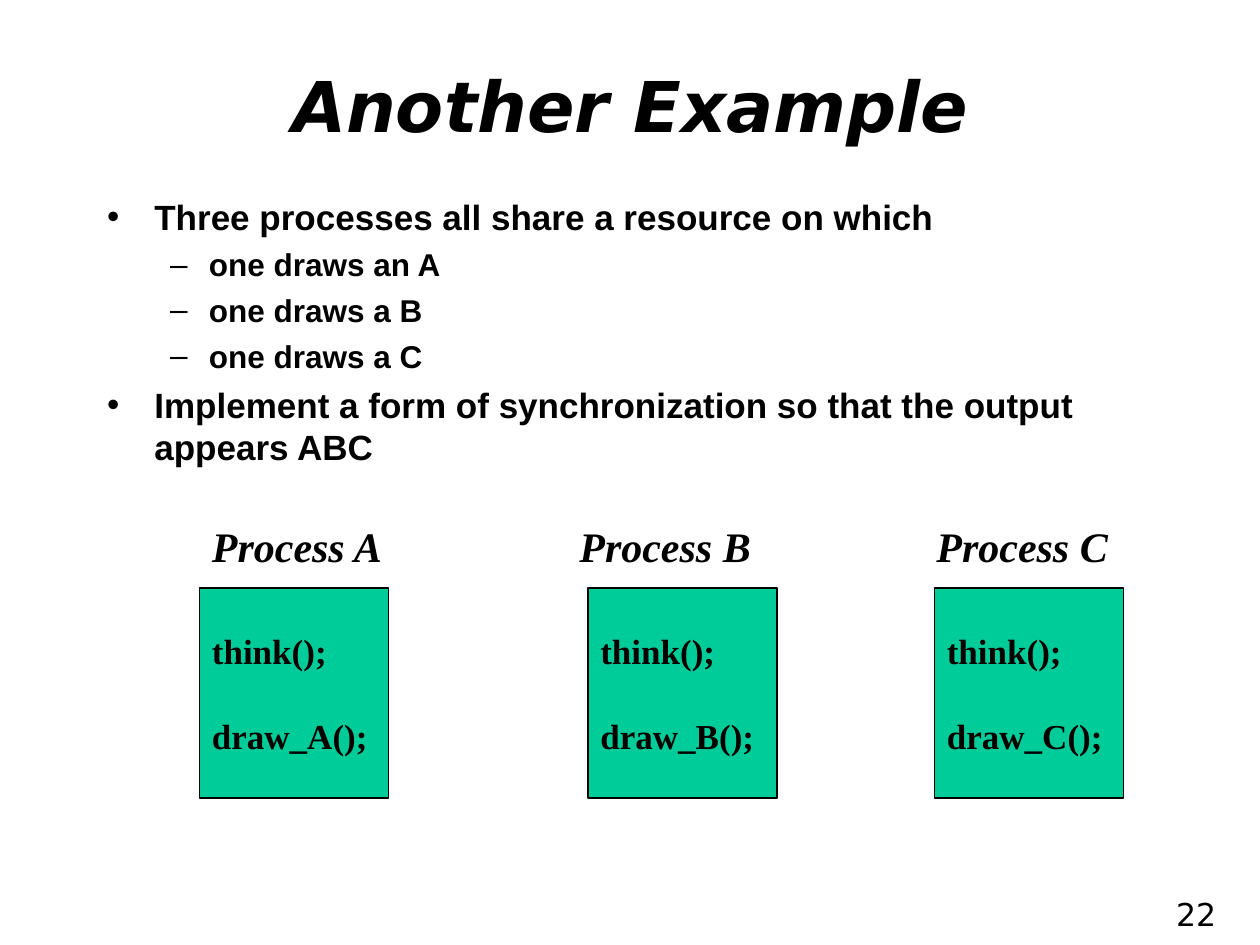
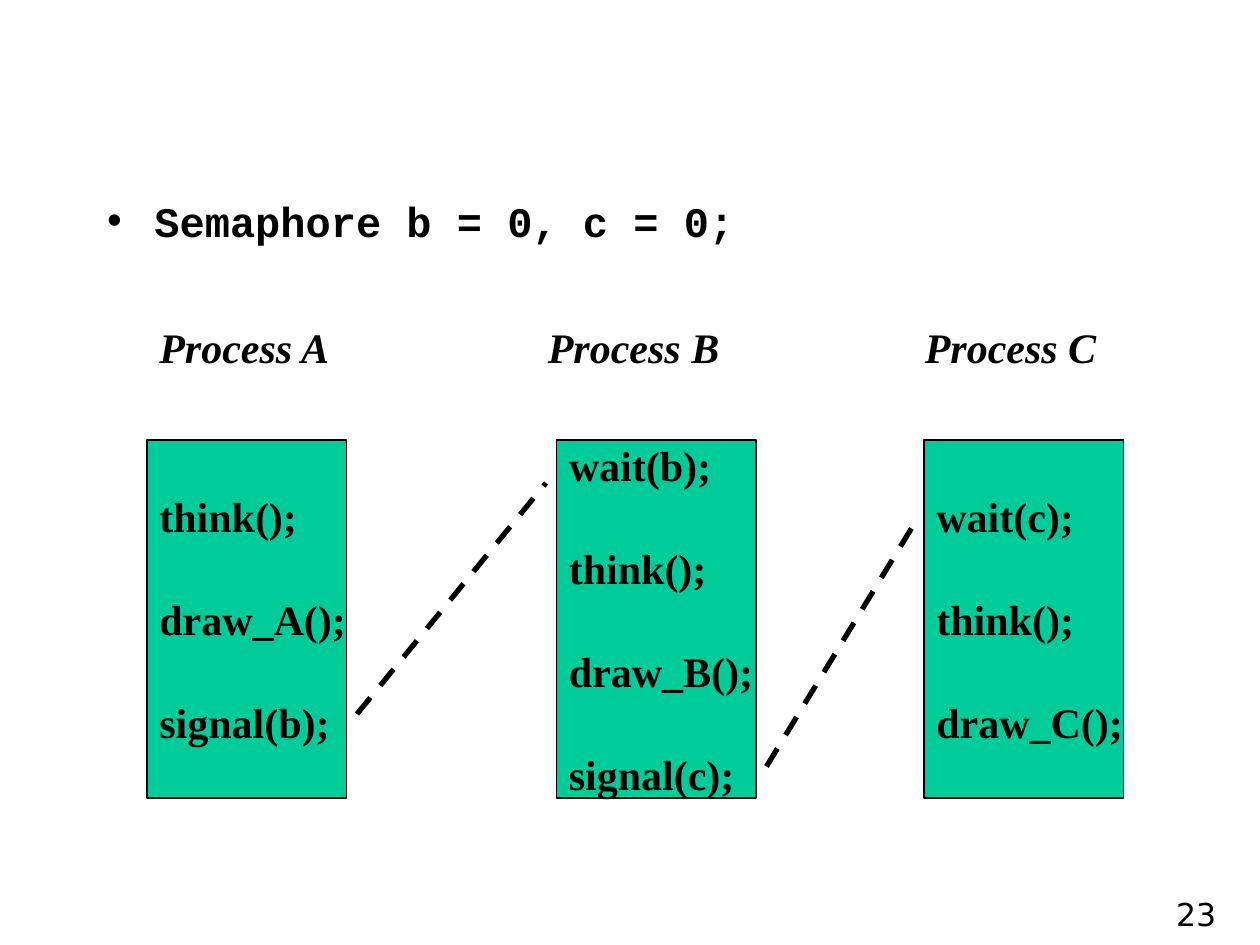
from lxml.etree import SubElement
from pptx import Presentation
from pptx.dml.color import RGBColor
from pptx.enum.dml import MSO_LINE
from pptx.enum.shapes import MSO_CONNECTOR, MSO_SHAPE
from pptx.enum.text import MSO_ANCHOR as Anchor, MSO_AUTO_SIZE as Fit, PP_ALIGN as Align
from pptx.oxml.ns import qn
from pptx.util import Pt

PX = 7620
THEME = {
    "ink": RGBColor.from_string("000000"),
    "box": RGBColor.from_string("00CC99"),
    "title": {"name": "DejaVu Sans", "size": Pt(40), "bold": True, "italic": True},
    "point": {"name": "Arial", "size": Pt(20), "bold": True},
    "subpoint": {"name": "Arial", "size": Pt(18), "bold": True},
    "declaration": {"name": "Courier New", "size": Pt(24), "bold": True},
    "label": {"name": "Times New Roman", "size": Pt(24), "bold": True, "italic": True},
    "small code": {"name": "Times New Roman", "size": Pt(20), "bold": True},
    "large code": {"name": "Times New Roman", "size": Pt(24), "bold": True},
    "number": {"name": "DejaVu Sans", "size": Pt(18), "bold": False},
}
BULLETS = [("•", 45, -45), ("–", 97, -37)]
LABEL_FRAME = {"word_wrap": True, "auto_size": Fit.SHAPE_TO_FIT_TEXT}
CODE_FRAME = {"word_wrap": False, "vertical_anchor": Anchor.MIDDLE}
NUMBER_FRAME = {"word_wrap": True, "vertical_anchor": Anchor.MIDDLE}
BODY_FRAME = {"word_wrap": True, "auto_size": Fit.NONE}

SLIDES = [
    {
        "title": "Another Example",
        "number": "22",
        "body": (90, 180, 1020, 280),
        "points": [
            (0, "point", "Three processes all share a resource on which"),
            (1, "subpoint", "one draws an A"),
            (1, "subpoint", "one draws a B"),
            (1, "subpoint", "one draws a C"),
            (0, "point", "Implement a form of synchronization so that the output appears ABC"),
        ],
        "label row": (490, 200, 60),
        "code row": (560, 180, 200),
        "code style": "small code",
        "processes": [
            ("Process A", 190, 190, ["think();", "draw_A();"]),
            ("Process B", 540, 560, ["think();", "draw_B();"]),
            ("Process C", 880, 890, ["think();", "draw_C();"]),
        ],
        "signals": [],
    },
    {
        "title": None,
        "number": "23",
        "body": (90, 180, 1000, 80),
        "points": [(0, "declaration", "Semaphore b = 0, c = 0;")],
        "label row": (300, 211, 60),
        "code row": (419, 190, 341),
        "code style": "large code",
        "processes": [
            ("Process A", 140, 140, ["think();", "draw_A();", "signal(b);"]),
            ("Process B", 510, 530, ["wait(b);", "think();", "draw_B();", "signal(c);"]),
            ("Process C", 869, 880, ["wait(c);", "think();", "draw_C();"]),
        ],
        "signals": [(340, 680, 520, 460), (730, 730, 870, 500)],
    },
]


def scaled(*lengths):
    return [length * PX for length in lengths]


def write(frame, lines, style, frame_format, para_format):
    for name, value in frame_format.items():
        setattr(frame, name, value)
    for index, line in enumerate(lines):
        para = frame.add_paragraph() if index else frame.paragraphs[0]
        for name, value in para_format.items():
            setattr(para, name, value)
        span = para.add_run()
        span.text = line
        for name, value in THEME[style].items():
            setattr(span.font, name, value)
        span.font.color.rgb = THEME["ink"]
    return para


deck = Presentation()
deck.slide_width, deck.slide_height = scaled(1200, 900)

for content in SLIDES:
    page = deck.slides.add_slide(deck.slide_layouts[1])
    title, body = page.placeholders

    if content["title"]:
        title.left, title.top, title.width, title.height = scaled(90, 50, 1020, 100)
        write(title.text_frame, [content["title"]], "title",
              {"vertical_anchor": Anchor.MIDDLE, "auto_size": Fit.NONE},
              {"alignment": Align.CENTER})
    else:
        title.element.getparent().remove(title.element)

    body.left, body.top, body.width, body.height = scaled(*content["body"])
    for index, (level, style, text) in enumerate(content["points"]):
        if index:
            body.text_frame.add_paragraph()
        para = body.text_frame.paragraphs[index]
        span = para.add_run()
        span.text = text
        for name, value in THEME[style].items():
            setattr(span.font, name, value)
        span.font.color.rgb = THEME["ink"]
        para.level = level
        para.space_before = THEME[style]["size"] // 4
        mark, margin, indent = BULLETS[level]
        properties = para._p.get_or_add_pPr()
        properties.set("marL", str(margin * PX))
        properties.set("indent", str(indent * PX))
        SubElement(properties, qn("a:buChar")).set("char", mark)
    for name, value in BODY_FRAME.items():
        setattr(body.text_frame, name, value)

    label_top, label_width, label_height = content["label row"]
    code_top, code_width, code_height = content["code row"]
    code_style = content["code style"]
    for label, label_left, code_left, calls in content["processes"]:
        box = page.shapes.add_shape(
            MSO_SHAPE.RECTANGLE, *scaled(code_left, code_top, code_width, code_height))
        box.shadow.inherit = False
        box.fill.solid()
        box.fill.fore_color.rgb = THEME["box"]
        box.line.color.rgb = THEME["ink"]
        box.line.width = Pt(1)
        write(box.text_frame, calls, code_style, CODE_FRAME,
              {"alignment": Align.LEFT, "space_before": THEME[code_style]["size"] * 5 // 4})
        box.text_frame.paragraphs[0].space_before = Pt(0)

        caption = page.shapes.add_textbox(
            *scaled(label_left, label_top, label_width, label_height))
        write(caption.text_frame, [label], "label", LABEL_FRAME, {"space_before": Pt(15)})

    for ends in content["signals"]:
        signal = page.shapes.add_connector(MSO_CONNECTOR.STRAIGHT, *scaled(*ends))
        signal.line.color.rgb = THEME["ink"]
        signal.line.width = Pt(3)
        signal.line.dash_style = MSO_LINE.DASH
        SubElement(signal._element.spPr, qn("a:effectLst"))

    number = page.shapes.add_textbox(*scaled(920, 840, 250, 60))
    write(number.text_frame, [content["number"]], "number", NUMBER_FRAME,
          {"alignment": Align.RIGHT})

deck.save("out.pptx")
